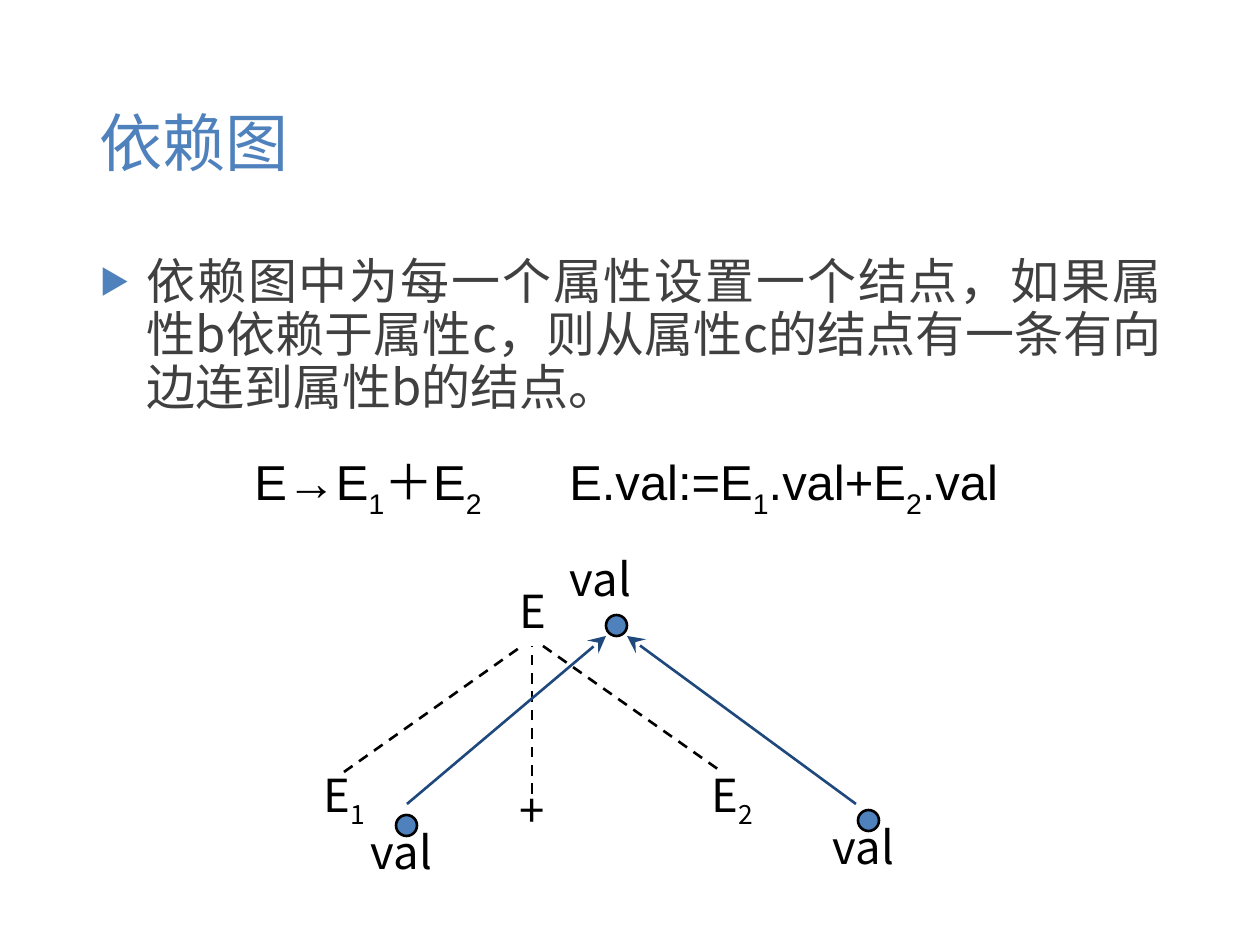
"""Build the slide that explains dependency graphs."""
from lxml import etree
from pptx import Presentation
from pptx.dml.color import RGBColor
from pptx.enum.dml import MSO_LINE
from pptx.enum.shapes import MSO_CONNECTOR, MSO_SHAPE
from pptx.enum.text import MSO_ANCHOR, PP_ALIGN
from pptx.oxml.ns import qn
from pptx.util import Emu, Pt

LEFT, CENTER, JUSTIFY = PP_ALIGN.LEFT, PP_ALIGN.CENTER, PP_ALIGN.JUSTIFY
TOP, MIDDLE = MSO_ANCHOR.TOP, MSO_ANCHOR.MIDDLE
STRAIGHT, OVAL, DASH = MSO_CONNECTOR.STRAIGHT, MSO_SHAPE.OVAL, MSO_LINE.DASH

BLUE = RGBColor(0x4F, 0x81, 0xBD)
NAVY = RGBColor(0x1F, 0x49, 0x7D)
GRAY = RGBColor(0x40, 0x40, 0x40)
BLACK = RGBColor(0, 0, 0)
CJK_FONT, LATIN_FONT = "Noto Sans CJK SC", "Arial"

TITLE = "依赖图"
BODY = ("依赖图中为每一个属性设置一个结点，如果属性b依赖于属性c，"
        "则从属性c的结点有一条有向边连到属性b的结点。")
BODY_INDENT = 47
FORMULA = [("E→E", "1"), ("＋E", "2"), ("\tE.val:=E", "1"), (".val+E", "2"), (".val", "")]
FORMULA_TAB = 315

LABELS = [
    ("E", "", 485, 574),
    ("E", "1", 297, 762),
    ("+", "", 485, 773),
    ("E", "2", 685, 762),
    ("val", "", 553, 542),
    ("val", "", 354, 815),
    ("val", "", 816, 810),
]
LABEL_WIDTH, LABEL_HEIGHT = 95, 73
DOTS = [(606, 615), (396, 815), (858, 810)]
DOT_SIZE = 21
TREE_EDGES = [(344, 772, 522, 646), (532, 794, 532, 646), (543, 646, 722, 772)]
DEPENDENCIES = [(407, 804, 606, 636), (856, 804, 627, 636)]


def px(length):
    return Emu(round(length * 914400 / 126))


def add_text(page, pieces, area, size, color=BLACK, font=CJK_FONT, align=CENTER,
             anchor=MIDDLE, wrap=False, drop=-25, bullet=False, tab=None):
    box = page.shapes.add_textbox(*map(px, area))
    frame = box.text_frame
    frame.word_wrap = wrap
    frame.vertical_anchor = anchor
    para = frame.paragraphs[0]
    para.alignment = align
    props = para._p.get_or_add_pPr()
    if bullet:
        para.line_spacing = 0.9
        props.set("marL", str(px(BODY_INDENT)))
        props.set("indent", str(-px(BODY_INDENT)))
        bullet_color = etree.SubElement(props, qn("a:buClr"))
        etree.SubElement(bullet_color, qn("a:srgbClr"), val=str(BLUE))
        etree.SubElement(props, qn("a:buSzPct"), val="62000")
        etree.SubElement(props, qn("a:buFont"), typeface=CJK_FONT)
        etree.SubElement(props, qn("a:buChar"), char="▶")
    if tab:
        tabs = etree.SubElement(props, qn("a:tabLst"))
        etree.SubElement(tabs, qn("a:tab"), pos=str(px(tab)), algn="l")
    for base, subscript in pieces:
        for text, shift in ((base, 0), (subscript, drop)):
            if not text:
                continue
            span = para.add_run()
            span.text = text
            span.font.size = Pt(size)
            span.font.name = font
            span.font.color.rgb = color
            run_props = span._r.get_or_add_rPr()
            etree.SubElement(run_props, qn("a:ea"), typeface=font)
            if shift:
                run_props.set("baseline", str(shift * 1000))


def add_edge(page, ends, color, dashed=False, arrow=False):
    edge = page.shapes.add_connector(STRAIGHT, *map(px, ends))
    edge.line.color.rgb = color
    edge.line.width = Pt(1.5)
    if dashed:
        edge.line.dash_style = DASH
    if arrow:
        etree.SubElement(edge.line._get_or_add_ln(), qn("a:tailEnd"),
                         type="stealth", w="lg", len="lg")
    etree.SubElement(edge._element.spPr, qn("a:effectLst"))


def add_dot(page, left, top):
    dot = page.shapes.add_shape(OVAL, *map(px, (left, top, DOT_SIZE, DOT_SIZE)))
    dot.shadow.inherit = False
    dot.fill.solid()
    dot.fill.fore_color.rgb = BLUE
    dot.line.color.rgb = BLACK
    dot.line.width = Pt(1.5)


def main():
    deck = Presentation()
    deck.slide_width, deck.slide_height = px(1260), px(945)
    page = deck.slides.add_slide(deck.slide_layouts[6])
    add_text(page, [(TITLE, "")], (87, 50, 1087, 183), 36, color=BLUE, align=LEFT, wrap=True)
    add_text(page, [(BODY, "")], (87, 251, 1087, 600), 28, color=GRAY, align=JUSTIFY,
             anchor=TOP, wrap=True, bullet=True)
    for base, subscript, left, top in LABELS:
        add_text(page, [(base, subscript)], (left, top, LABEL_WIDTH, LABEL_HEIGHT), 26)
    for ends in TREE_EDGES:
        add_edge(page, ends, BLACK, dashed=True)
    for ends in DEPENDENCIES:
        add_edge(page, ends, NAVY, arrow=True)
    for corner in DOTS:
        add_dot(page, *corner)
    add_text(page, FORMULA, (242, 445, 795, 72), 28, font=LATIN_FONT, align=LEFT,
             anchor=TOP, drop=-30, tab=FORMULA_TAB)
    deck.save("out.pptx")


if __name__ == "__main__":
    main()
